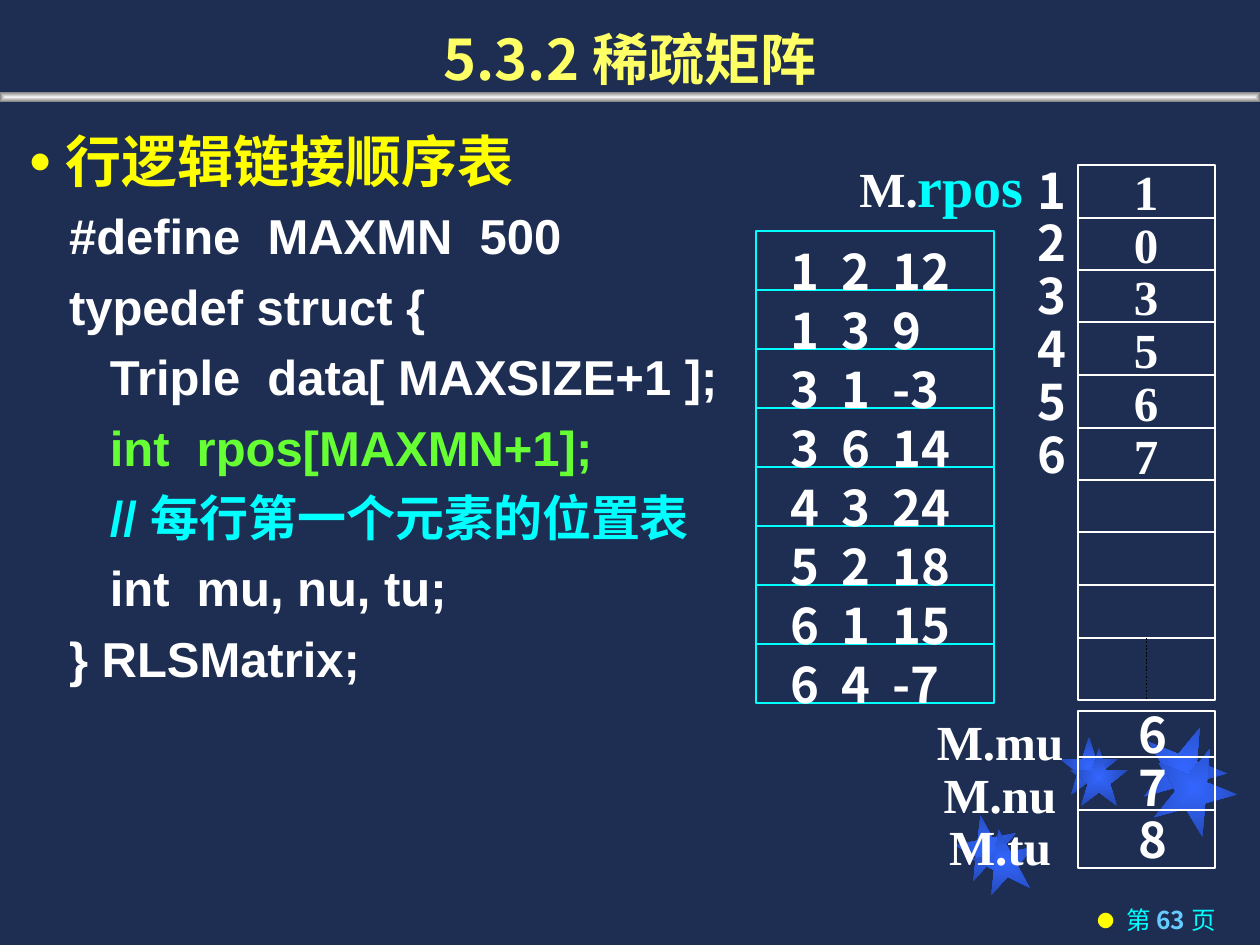
from dataclasses import dataclass

from lxml.etree import SubElement
from pptx import Presentation
from pptx.dml.color import RGBColor
from pptx.enum.dml import MSO_LINE
from pptx.enum.shapes import MSO_CONNECTOR, MSO_SHAPE
from pptx.enum.text import MSO_ANCHOR, PP_ALIGN
from pptx.oxml.ns import qn
from pptx.util import Emu, Pt

PX = 914400 / 126


@dataclass(frozen=True)
class Theme:
    background: str = "1E2E53"
    white: str = "FFFFFF"
    black: str = "000000"
    cyan: str = "00FFFF"
    yellow: str = "FFFF00"
    green: str = "66FF33"
    title: str = "FFFF66"
    number: str = "66CCFF"
    star: tuple = ("3366FF", "2449B6")
    bar: tuple = ("F2F2F2", "808080")
    sans: str = "Arial"
    cjk: str = "Noto Sans CJK SC"
    serif: str = "Times New Roman"
    large: int = 32
    medium: int = 28
    small: int = 14


THEME = Theme()


def px(value):
    return Emu(round(value * PX))


def add_span(para, text, size, font, color, bold=True):
    span = para.add_run()
    span.text = text
    span.font.size = Pt(size)
    span.font.bold = bold
    span.font.name = font
    span.font.color.rgb = RGBColor.from_string(color)
    for tag, face in (("a:ea", THEME.cjk), ("a:cs", font)):
        SubElement(span.font._element, qn(tag)).set("typeface", face)


def add_bullet(para, indent, font):
    properties = para._p.get_or_add_pPr()
    properties.set("marL", str(px(indent)))
    properties.set("indent", str(-px(indent)))
    color = SubElement(properties, qn("a:buClr"))
    SubElement(color, qn("a:srgbClr")).set("val", THEME.yellow)
    SubElement(properties, qn("a:buSzPct")).set("val", "70000")
    SubElement(properties, qn("a:buFont")).set("typeface", font)
    SubElement(properties, qn("a:buChar")).set("char", "●")


def add_text(page, frame, lines, factor=1.0, align=PP_ALIGN.LEFT, anchor=MSO_ANCHOR.TOP):
    box = page.shapes.add_textbox(*map(px, frame))
    text_frame = box.text_frame
    text_frame.word_wrap = True
    text_frame.vertical_anchor = anchor
    for index, spans in enumerate(lines):
        para = text_frame.paragraphs[0] if index == 0 else text_frame.add_paragraph()
        para.alignment = align
        largest = max(span[1] for span in spans)
        para.line_spacing = Pt(round(largest * 1.2 * factor, 1))
        for span in spans:
            add_span(para, *span)
    return text_frame


def add_column(page, frame, words, font):
    lines = [[(word, THEME.medium, font, THEME.white)] for word in words]
    add_text(page, frame, lines, 0.9, PP_ALIGN.CENTER)


def add_gradient_shape(page, kind, frame, colors, rotation=0):
    shape = page.shapes.add_shape(kind, *map(px, frame))
    shape.shadow.inherit = False
    shape.rotation = rotation
    shape.line.fill.background()
    shape.fill.gradient()
    gradient = shape._element.spPr.find(qn("a:gradFill"))
    for child in list(gradient):
        gradient.remove(child)
    stops = SubElement(gradient, qn("a:gsLst"))
    for position, color in zip(("0", "100000"), colors):
        stop = SubElement(stops, qn("a:gs"), pos=position)
        SubElement(stop, qn("a:srgbClr")).set("val", color)
    center = SubElement(gradient, qn("a:path"))
    center.set("path", "rect")
    SubElement(center, qn("a:fillToRect"), l="50000", t="50000", r="50000", b="50000")


def add_line(page, start, end, color):
    line = page.shapes.add_connector(MSO_CONNECTOR.STRAIGHT, *map(px, (*start, *end)))
    line.line.color.rgb = RGBColor.from_string(color)
    line.line.width = Pt(1)
    SubElement(line._element.spPr, qn("a:effectLst"))
    return line


def add_ruled_box(page, frame, levels, color):
    left, top, width, height = frame
    box = page.shapes.add_shape(MSO_SHAPE.RECTANGLE, *map(px, frame))
    box.shadow.inherit = False
    box.fill.background()
    box.line.color.rgb = RGBColor.from_string(color)
    box.line.width = Pt(1)
    for level in levels:
        line = add_line(page, (left, level), (left + width, level), color)
        if level == top + height / 2:
            line.begin_connect(box, 1)
            line.end_connect(box, 3)
    return box


def add_backdrop(page):
    page.background.fill.solid()
    page.background.fill.fore_color.rgb = RGBColor.from_string(THEME.background)
    stars = (
        (955, 815, 63, 349), (1060, 737, 58, 0), (1142, 725, 84, 22),
        (973, 829, 63, 349), (1070, 748, 58, 0), (1152, 746, 84, 22),
    )
    for left, top, side, rotation in stars:
        add_gradient_shape(page, MSO_SHAPE.STAR_5_POINT, (left, top, side, side), THEME.star, rotation)
    add_gradient_shape(page, MSO_SHAPE.RECTANGLE, (0, 92, 1260, 10), THEME.bar)


def add_footer(page):
    spans = [
        ("第 ", THEME.small, THEME.cjk, THEME.cyan, False),
        ("63 ", THEME.small, THEME.cjk, THEME.number, True),
        ("页", THEME.small, THEME.cjk, THEME.cyan, False),
    ]
    footer = add_text(page, (897, 899, 331, 45), [spans], align=PP_ALIGN.RIGHT)
    add_bullet(footer.paragraphs[0], 29, THEME.cjk)


def add_definition(page):
    code = (
        ("   #define  MAXMN  500", THEME.white),
        ("   typedef struct {", THEME.white),
        ("      Triple  data[ MAXSIZE+1 ];", THEME.white),
        ("      int  rpos[MAXMN+1];", THEME.green),
        ("      // 每行第一个元素的位置表", THEME.cyan),
        ("      int  mu, nu, tu;", THEME.white),
        ("   } RLSMatrix;", THEME.white),
    )
    lines = [[("行逻辑链接顺序表", THEME.large, THEME.sans, THEME.yellow)]]
    lines += [[(text, THEME.medium, THEME.sans, color)] for text, color in code]
    body = add_text(page, (16, 107, 732, 751), lines, 1.2)
    add_bullet(body.paragraphs[0], 37, THEME.sans)


def add_triples(page):
    triples = (
        "1  2  12", "1  3  9", "3  1  -3", "3  6  14",
        "4  3  24", "5  2  18", "6  1  15", "6  4  -7",
    )
    left, top, pitch = 756, 231, 59
    levels = [top + pitch * row for row in range(len(triples))]
    add_ruled_box(page, (left, top, 238, pitch * len(triples)), levels, THEME.cyan)
    for level, triple in zip(levels, triples):
        spans = [(triple, THEME.medium, THEME.cjk, THEME.white)]
        add_text(page, (left + 22, level + 4, 249, 72), [spans])


def add_row_positions(page):
    left, top, width, height = 1078, 165, 137, 535
    levels = [round(top + 52.5 * row) for row in range(1, 10)]
    box = add_ruled_box(page, (left, top, width, height), levels, THEME.white)
    middle = left + width / 2
    dots = add_line(page, (middle, levels[-1]), (middle, top + height), THEME.black)
    dots.line.dash_style = MSO_LINE.ROUND_DOT
    dots.end_connect(box, 2)
    add_column(page, (1015, 160, 73, 389), "123456", THEME.cjk)
    add_column(page, (1111, 161, 70, 330), "103567", THEME.serif)
    label = [
        ("M.", THEME.medium, THEME.serif, THEME.white),
        ("rpos", THEME.large, THEME.serif, THEME.cyan),
    ]
    add_text(page, (847, 145, 210, 79), [label])


def add_sizes(page):
    add_ruled_box(page, (1078, 711, 137, 157), (757, 810), THEME.white)
    add_column(page, (891, 711, 218, 171), ("M.mu", "M.nu", "M.tu"), THEME.serif)
    add_column(page, (1080, 704, 145, 171), "678", THEME.cjk)


def main():
    deck = Presentation()
    deck.slide_width, deck.slide_height = px(1260), px(945)
    page = deck.slides.add_slide(deck.slide_layouts[6])
    add_backdrop(page)
    add_footer(page)
    title = [("5.3.2 稀疏矩阵", THEME.large, THEME.cjk, THEME.title)]
    add_text(page, (0, 0, 1260, 98), [title], align=PP_ALIGN.CENTER, anchor=MSO_ANCHOR.BOTTOM)
    add_definition(page)
    add_triples(page)
    add_row_positions(page)
    add_sizes(page)
    deck.save("out.pptx")


if __name__ == "__main__":
    main()
